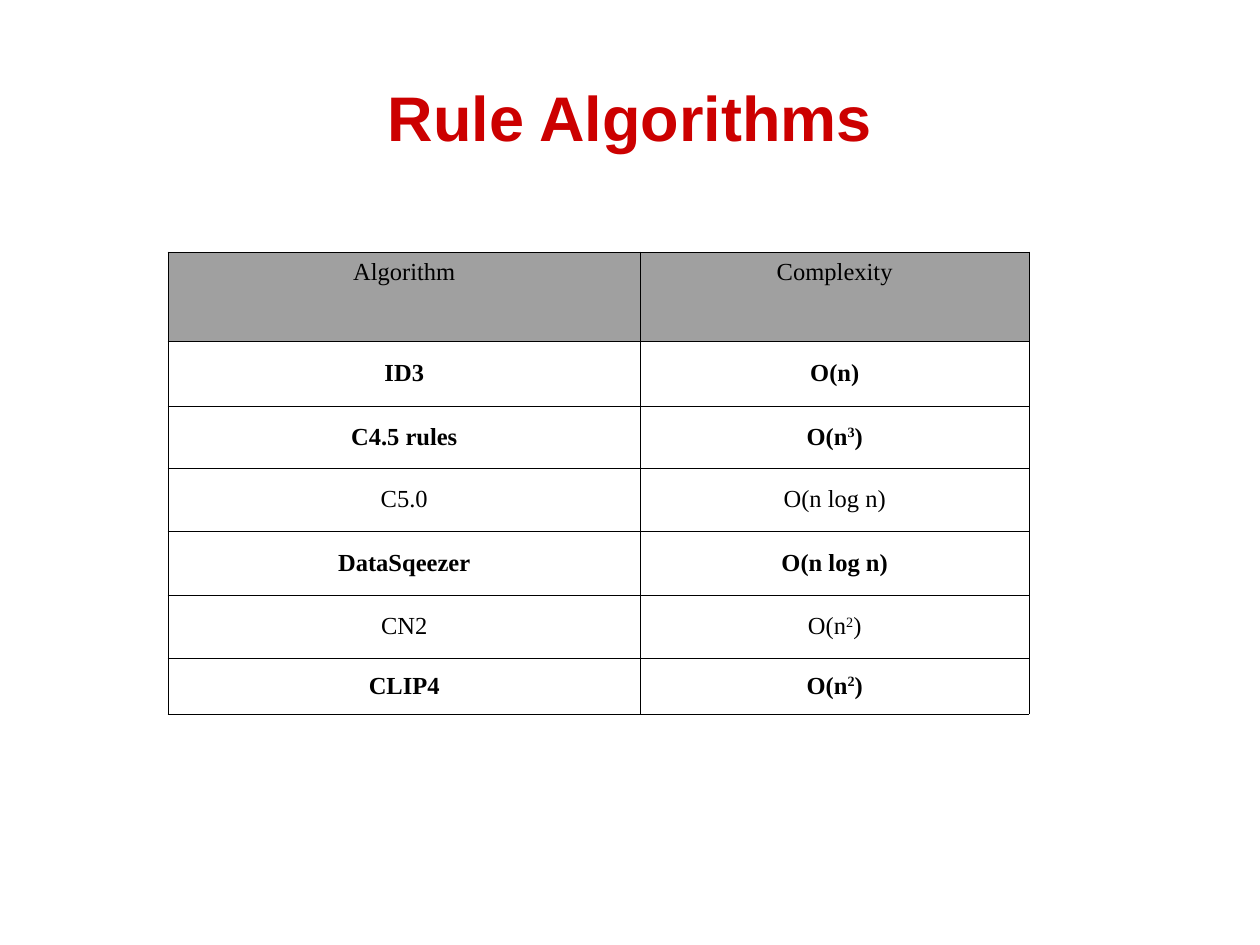
from dataclasses import dataclass

from pptx import Presentation
from pptx.dml.color import RGBColor as Color
from pptx.enum.text import MSO_ANCHOR as Anchor, PP_ALIGN as Align
from pptx.oxml import parse_xml
from pptx.oxml.ns import nsdecls
from pptx.util import Pt


@dataclass(frozen=True)
class Theme:
    accent: str = "CC0000"
    ink: str = "000000"
    header: str = "A0A0A0"
    title_font: str = "Arial"
    table_font: str = "Times New Roman"
    title_size: float = 36
    table_size: float = 14
    border: float = 0.45


class SlideBuilder:
    def __init__(self, slide, theme):
        self.slide = slide
        self.theme = theme

    def add_run(self, paragraph, text, font, size, color, bold=False, raised=False):
        run = paragraph.add_run()
        run.text = text
        run.font.name = font
        run.font.size = Pt(size)
        run.font.bold = bold
        run.font.color.rgb = Color.from_string(color)
        if raised:
            run._r.get_or_add_rPr().set("baseline", "30000")

    def title(self, text, left, top, width, height):
        heading = self.slide.shapes.title
        heading.left, heading.top = Pt(left), Pt(top)
        heading.width, heading.height = Pt(width), Pt(height)
        heading.text_frame.vertical_anchor = Anchor.MIDDLE
        paragraph = heading.text_frame.paragraphs[0]
        paragraph.alignment = Align.CENTER
        theme = self.theme
        self.add_run(paragraph, text, theme.title_font, theme.title_size,
                     theme.accent, bold=True)

    def outline(self, cell):
        properties = cell._tc.get_or_add_tcPr()
        for side in "LRTB":
            properties.append(parse_xml(
                f'<a:ln{side} {nsdecls("a")} w="{Pt(self.theme.border)}"><a:solidFill>'
                f'<a:srgbClr val="{self.theme.ink}"/></a:solidFill></a:ln{side}>'))

    def cell(self, cell, parts, bold, is_header):
        theme = self.theme
        cell.vertical_anchor = Anchor.TOP if is_header else Anchor.MIDDLE
        self.outline(cell)
        if is_header:
            cell.fill.solid()
            cell.fill.fore_color.rgb = Color.from_string(theme.header)
        else:
            cell.fill.background()
        paragraph = cell.text_frame.paragraphs[0]
        paragraph.alignment = Align.CENTER
        for index, part in enumerate(parts):
            self.add_run(paragraph, part, theme.table_font, theme.table_size,
                         theme.ink, bold, raised=index == 1)

    def table(self, rows, left, top, widths, heights):
        table = self.slide.shapes.add_table(
            len(rows), len(widths), Pt(left), Pt(top),
            Pt(sum(widths)), Pt(sum(heights))).table
        table.first_row = table.horz_banding = False
        for column, width in zip(table.columns, widths):
            column.width = Pt(width)
        for index, (algorithm, complexity, bold) in enumerate(rows):
            table.rows[index].height = Pt(heights[index])
            for column, parts in enumerate(([algorithm], complexity)):
                self.cell(table.cell(index, column), parts, bold, index == 0)


def main():
    deck = Presentation()
    deck.slide_width, deck.slide_height = Pt(720), Pt(540)
    builder = SlideBuilder(deck.slides.add_slide(deck.slide_layouts[5]), Theme())
    builder.title("Rule Algorithms", 36, 21.6, 648, 90)
    algorithms = [
        ("Algorithm", ["Complexity"], False),
        ("ID3", ["O(n)"], True),
        ("C4.5 rules", ["O(n", "3", ")"], True),
        ("C5.0", ["O(n log n)"], False),
        ("DataSqeezer", ["O(n log n)"], True),
        ("CN2", ["O(n", "2", ")"], False),
        ("CLIP4", ["O(n", "2", ")"], True),
    ]
    builder.table(algorithms, 96, 144, [270, 222], [51, 37, 35.5, 36, 36.5, 36, 32])
    deck.save("out.pptx")


if __name__ == "__main__":
    main()
